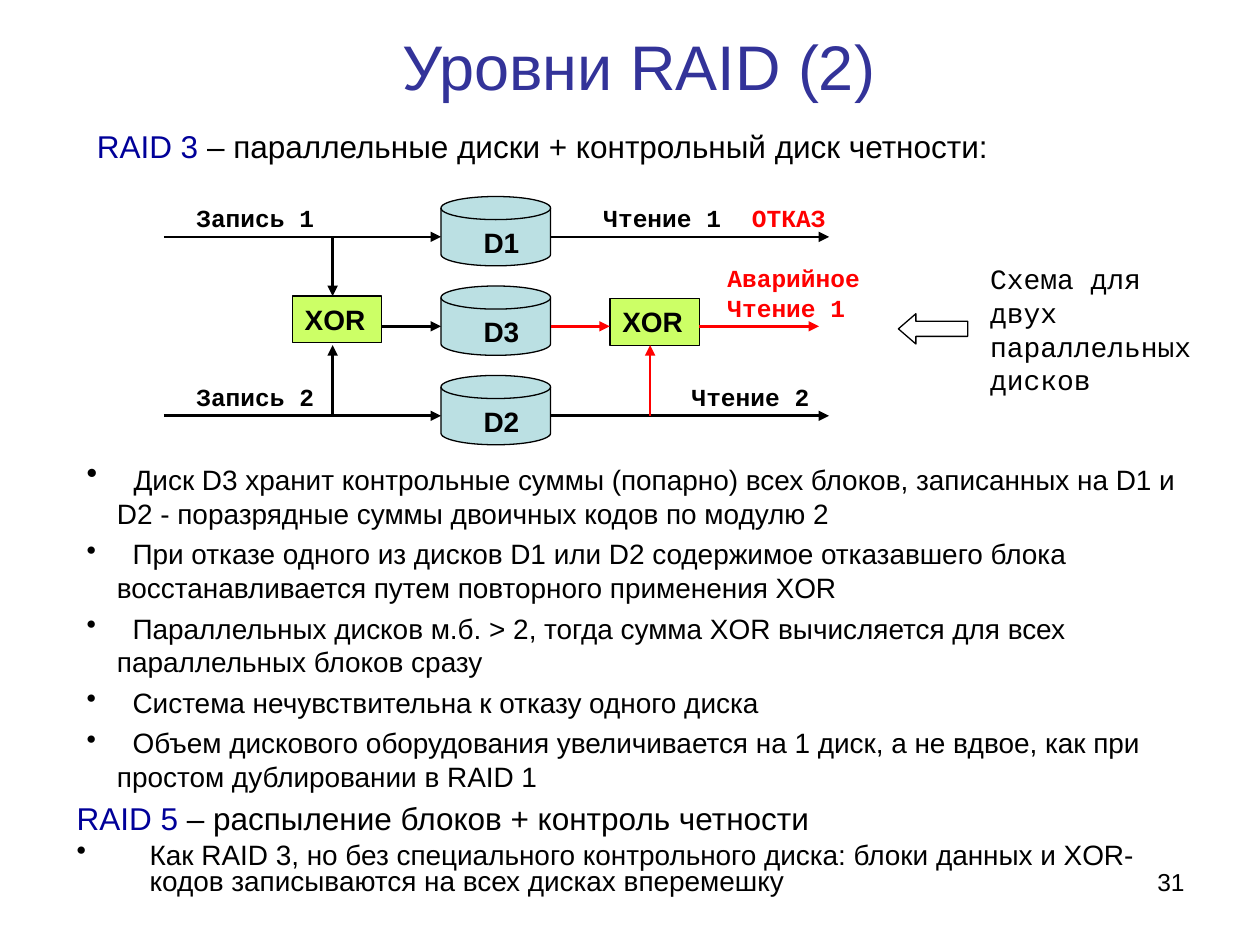
from dataclasses import dataclass

from lxml import etree
from pptx import Presentation
from pptx import util as u
from pptx.dml.color import RGBColor
from pptx.enum import shapes, text
from pptx.oxml.ns import qn


@dataclass(frozen=True)
class Theme:
    black: str = "000000"
    navy: str = "000099"
    indigo: str = "333399"
    red: str = "FF0000"
    disk: str = "BBE0E3"
    xor: str = "CCFF66"
    sans: str = "Arial"
    mono: str = "Courier New"
    title: int = 36
    heading: int = 18
    body: int = 16
    label: int = 14
    outline: float = 0.75
    flow: float = 1.5


THEME = Theme()

# Diagram grid: three equal rows, named columns
ROW_TOP, ROW_STEP, FLOW_DROP = 1.56, 0.71, 0.32
DISK_W, DISK_H = 0.87, 0.55
XOR_W, XOR_H = 0.71, 0.37
COL = {"start": 1.3, "xor_write": 2.32, "disk": 3.5, "xor_read": 4.84, "end": 6.58}
DISK_RIGHT = COL["disk"] + DISK_W
TAP = 0.32  # vertical flows enter an XOR box this far from its left side

FACTS = [
    "Диск D3 хранит контрольные суммы (попарно) всех блоков, записанных на D1 и D2"
    " - поразрядные суммы двоичных кодов по модулю 2",
    "При отказе одного из дисков D1 или D2 содержимое отказавшего блока"
    " восстанавливается путем повторного применения XOR",
    "Параллельных дисков м.б. > 2, тогда сумма XOR вычисляется для всех"
    " параллельных блоков сразу",
    "Система нечувствительна к отказу одного диска",
    "Объем дискового оборудования увеличивается на 1 диск, а не вдвое,"
    " как при простом дублировании в RAID 1",
]
RAID5_FACT = ("Как RAID 3, но без специального контрольного диска: блоки данных"
              " и XOR-кодов записываются на всех дисках вперемешку")


def row_top(row):
    return ROW_TOP + row * ROW_STEP


def flow_y(row):
    return row_top(row) + FLOW_DROP


def inches(*lengths):
    return [u.Inches(length) for length in lengths]


def add_span(para, words, size, color=THEME.black, font=THEME.sans, bold=False):
    span = para.add_run()
    span.text = words
    for name, value in {"size": u.Pt(size), "name": font, "bold": bold}.items():
        setattr(span.font, name, value)
    span.font.color.rgb = RGBColor.from_string(color)
    return span


def format_para(para, hanging=0, bullet=False, **formats):
    for name, value in formats.items():
        setattr(para, name, value)
    props = para._p.get_or_add_pPr()
    if hanging:
        props.set("marL", str(u.Inches(hanging)))
        props.set("indent", str(-u.Inches(hanging)))
    if bullet:
        etree.SubElement(props, qn("a:buChar")).set("char", "•")


def add_box(page, at, anchor=text.MSO_ANCHOR.TOP):
    frame = page.shapes.add_textbox(*inches(*at)).text_frame
    frame.word_wrap = True
    frame.vertical_anchor = anchor
    return frame


def add_label(page, at, words, size=THEME.label, color=THEME.black, font=THEME.mono,
              bold=True, align=text.PP_ALIGN.LEFT, anchor=text.MSO_ANCHOR.TOP):
    para = add_box(page, at, anchor).paragraphs[0]
    para.alignment = align
    add_span(para, words, size, color, font, bold)


def add_figure(page, kind, at, fill=None):
    figure = page.shapes.add_shape(kind, *inches(*at))
    figure.shadow.inherit = False
    if fill:
        figure.fill.solid()
        figure.fill.fore_color.rgb = RGBColor.from_string(fill)
    else:
        figure.fill.background()
    figure.line.color.rgb = RGBColor.from_string(THEME.black)
    figure.line.width = u.Pt(THEME.outline)
    return figure


def add_disk(page, row, name):
    top = row_top(row)
    add_figure(page, shapes.MSO_SHAPE.FLOWCHART_MAGNETIC_DISK,
               (COL["disk"], top, DISK_W, DISK_H), THEME.disk)
    add_label(page, (COL["disk"] + 0.24, top + 0.18, 0.63, 0.37), name,
              THEME.body, font=THEME.sans)


def add_xor(page, left, top):
    frame = add_figure(page, shapes.MSO_SHAPE.RECTANGLE,
                       (left, top, XOR_W, XOR_H), THEME.xor).text_frame
    frame.vertical_anchor = text.MSO_ANCHOR.TOP
    frame.paragraphs[0].alignment = text.PP_ALIGN.LEFT
    add_span(frame.paragraphs[0], "XOR", THEME.body, bold=True)


def add_flow(page, x1, y1, x2, y2, color=THEME.black):
    flow = page.shapes.add_connector(shapes.MSO_CONNECTOR.STRAIGHT,
                                     *inches(x1, y1, x2, y2))
    flow.line.color.rgb = RGBColor.from_string(color)
    flow.line.width = u.Pt(THEME.flow)
    etree.SubElement(flow.line._get_or_add_ln(), qn("a:tailEnd")).set("type", "triangle")
    etree.SubElement(flow._element.spPr, qn("a:effectLst"))


def add_heading(para, level, words, spacing):
    format_para(para, hanging=0.58, line_spacing=spacing, space_before=u.Pt(4.5))
    add_span(para, level, THEME.heading, THEME.navy)
    add_span(para, words, THEME.heading)


def add_diagram(page):
    # Disks and parity blocks
    for row, name in enumerate(["D1", "D3", "D2"]):
        add_disk(page, row, name)
    add_xor(page, COL["xor_write"], 2.35)
    add_xor(page, COL["xor_read"], 2.37)

    # Horizontal flows
    for row in (0, 2):
        add_flow(page, COL["start"], flow_y(row), COL["disk"], flow_y(row))
        add_flow(page, DISK_RIGHT, flow_y(row), COL["end"], flow_y(row))
    for start, end, color in [
        (COL["xor_write"] + XOR_W, COL["disk"], THEME.black),
        (DISK_RIGHT, COL["xor_read"], THEME.red),
        (COL["xor_read"] + XOR_W, 6.5, THEME.red),
    ]:
        add_flow(page, start, flow_y(1), end, flow_y(1), color)

    # Vertical flows into the parity blocks
    write_x, read_x = COL["xor_write"] + TAP, COL["xor_read"] + TAP
    add_flow(page, write_x, flow_y(0), write_x, 2.35)
    add_flow(page, write_x, flow_y(2), write_x, 2.74)
    add_flow(page, read_x, flow_y(2), read_x, 2.74, THEME.red)

    # Flow labels
    for left, row, width, words, color in [
        (1.46, 0, 1.18, "Запись 1", THEME.black),
        (1.46, 2, 1.18, "Запись 2", THEME.black),
        (4.69, 0, 1.18, "Чтение 1", THEME.black),
        (5.87, 0, 0.87, "ОТКАЗ", THEME.red),
        (5.39, 2, 1.18, "Чтение 2", THEME.black),
    ]:
        add_label(page, (left, row_top(row), width, 0.34), words, color=color)
    add_label(page, (5.63, 2.04, 1.34, 0.57), "Аварийное Чтение 1 ",
              color=THEME.red, align=text.PP_ALIGN.CENTER)

    # Side note with its arrow
    add_label(page, (7.76, 2.03, 1.97, 1.17), "Схема для двух параллельных дисков",
              THEME.body, bold=False)
    arrow = add_figure(page, shapes.MSO_SHAPE.LEFT_ARROW, (7.13, 2.49, 0.55, 0.24))
    arrow.adjustments[1] = 0.58


def add_facts(page):
    frame = add_box(page, (0.59, 3.59, 9.14, 2.75))
    for index, fact in enumerate(FACTS):
        para = frame.add_paragraph() if index else frame.paragraphs[0]
        format_para(para, hanging=0.24, bullet=True, space_before=u.Pt(4))
        # A widened space sets the first line in from the bullet
        lead = add_span(para, " ", THEME.body if index else THEME.heading)
        lead.font._element.set("spc", "450")
        add_span(para, fact, THEME.body)


def main():
    deck = Presentation()
    deck.slide_width, deck.slide_height = inches(10, 7.5)
    page = deck.slides.add_slide(deck.slide_layouts[6])

    # Title and first heading
    add_label(page, (0, -0.11, 10, 1.25), " Уровни RAID (2)", THEME.title, THEME.indigo,
              THEME.sans, False, text.PP_ALIGN.CENTER, text.MSO_ANCHOR.MIDDLE)
    add_heading(add_box(page, (0.67, 0.99, 8.98, 0.55)).paragraphs[0], "RAID 3",
                " – параллельные диски + контрольный диск четности:", 0.9)

    add_diagram(page)
    add_facts(page)

    # RAID 5 section
    frame = add_box(page, (0.51, 6.35, 8.98, 1.02))
    add_heading(frame.paragraphs[0], "RAID 5",
                " – распыление блоков + контроль четности", 0.8)
    para = frame.add_paragraph()
    format_para(para, hanging=0.58, bullet=True, line_spacing=0.8, space_before=u.Pt(4))
    add_span(para, RAID5_FACT, THEME.body)

    # Page number
    add_label(page, (7.17, 6.83, 2.33, 0.52), "31", font=THEME.sans, bold=False,
              align=text.PP_ALIGN.RIGHT)
    deck.save("out.pptx")


if __name__ == "__main__":
    main()
